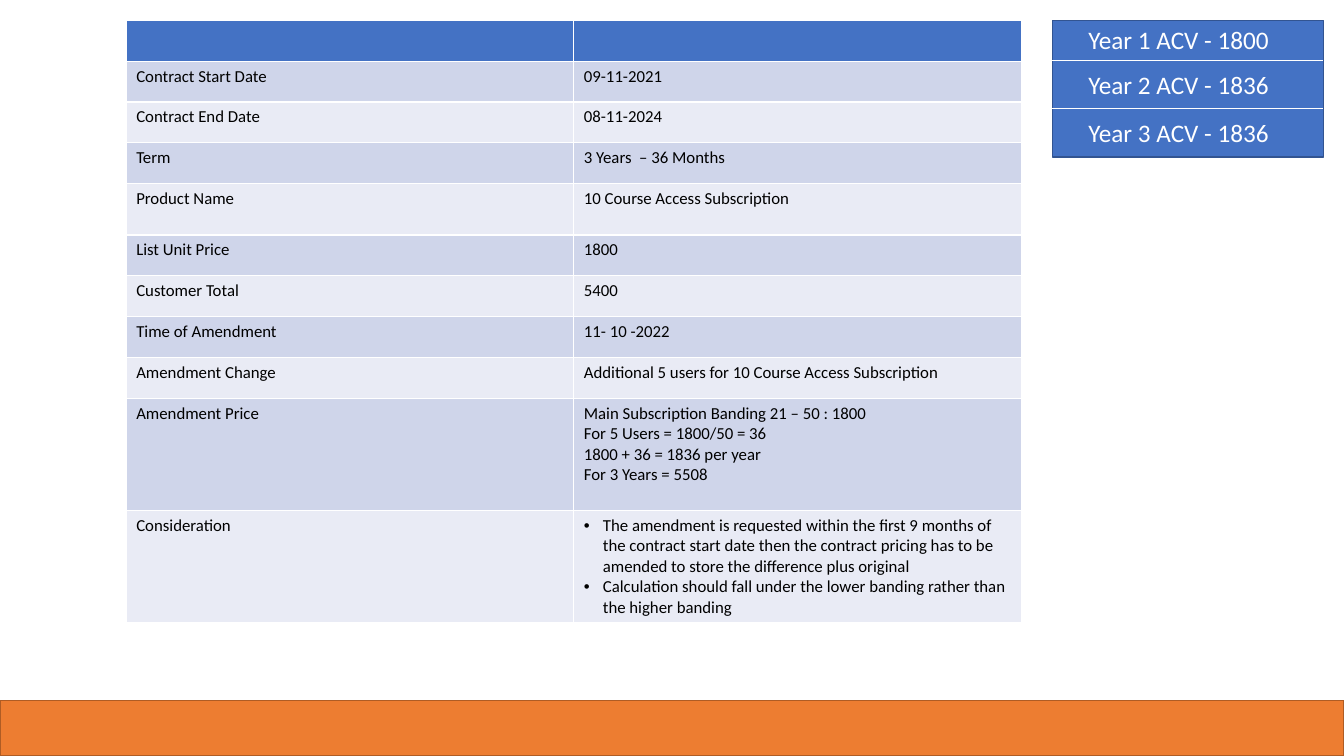
from lxml import etree
from pptx import Presentation
from pptx.dml.color import RGBColor
from pptx.enum.shapes import MSO_CONNECTOR, MSO_SHAPE
from pptx.enum.text import MSO_AUTO_SIZE
from pptx.oxml.ns import qn
from pptx.util import Cm, Pt

RECTANGLE = MSO_SHAPE.RECTANGLE
STRAIGHT = MSO_CONNECTOR.STRAIGHT
FIT_SHAPE = MSO_AUTO_SIZE.SHAPE_TO_FIT_TEXT

COLORS = {
    "blue": "4472C4", "blue_edge": "325491",
    "orange": "ED7D31", "orange_edge": "AF5C24",
    "odd_row": "CFD5EA", "even_row": "E9EBF5",
    "white": "FFFFFF", "black": "000000",
}
FORMATS = {
    "detail": {"name": "Calibri", "size": Pt(12)},
    "acv": {"name": "Calibri", "size": Pt(18)},
}


def color(key):
    return RGBColor.from_string(COLORS[key])


class SlideBuilder:
    def __init__(self, slide):
        self.slide = slide

    def fill_text(self, frame, lines, style, ink, bulleted=False):
        frame.word_wrap = True
        for index, line in enumerate(lines):
            paragraph = frame.paragraphs[0] if index == 0 else frame.add_paragraph()
            run = paragraph.add_run()
            run.text = line
            for attribute, value in FORMATS[style].items():
                setattr(run.font, attribute, value)
            run.font.color.rgb = color(ink)
            if bulleted:
                properties = paragraph._p.get_or_add_pPr()
                properties.set("marL", str(Cm(0.48)))
                properties.set("indent", str(Cm(-0.48)))
                etree.SubElement(properties, qn("a:buFont")).set("typeface", "Arial")
                etree.SubElement(properties, qn("a:buChar")).set("char", "•")

    def panel(self, left, top, width, height, fill, edge):
        panel = self.slide.shapes.add_shape(
            RECTANGLE, Cm(left), Cm(top), Cm(width), Cm(height))
        panel.shadow.inherit = False
        panel.fill.solid()
        panel.fill.fore_color.rgb = color(fill)
        panel.line.color.rgb = color(edge)
        panel.line.width = Pt(1)

    def divider(self, left, top, width):
        divider = self.slide.shapes.add_connector(
            STRAIGHT, Cm(left), Cm(top), Cm(left + width), Cm(top))
        divider.line.color.rgb = color("white")
        divider.line.width = Pt(0.5)
        etree.SubElement(divider._element.spPr, qn("a:effectLst"))

    def label(self, left, top, width, height, text):
        label = self.slide.shapes.add_textbox(
            Cm(left), Cm(top), Cm(width), Cm(height))
        self.fill_text(label.text_frame, [text], "acv", "white")
        label.text_frame.auto_size = FIT_SHAPE

    def table(self, left, top, column_width, row_height, rows, tall_rows):
        heights = [tall_rows.get(name, row_height) for name, _ in rows]
        table = self.slide.shapes.add_table(
            len(rows), 2, Cm(left), Cm(top),
            Cm(2 * column_width), Cm(sum(heights))).table
        for column in table.columns:
            column.width = Cm(column_width)
        for index, (name, details) in enumerate(rows):
            table.rows[index].height = Cm(heights[index])
            fill = "blue" if index == 0 else ("even_row", "odd_row")[index % 2]
            for position, lines in enumerate(([name], details)):
                cell = table.cell(index, position)
                cell.fill.solid()
                cell.fill.fore_color.rgb = color(fill)
                if index:
                    bulleted = position == 1 and name == "Consideration"
                    self.fill_text(cell.text_frame, lines, "detail", "black", bulleted)


CONTRACT = [
    ("", []),
    ("Contract Start Date", ["09-11-2021"]),
    ("Contract End Date", ["08-11-2024"]),
    ("Term", ["3 Years  – 36 Months"]),
    ("Product Name", ["10 Course Access Subscription"]),
    ("List Unit Price", ["1800"]),
    ("Customer Total", ["5400"]),
    ("Time of Amendment", ["11- 10 -2022"]),
    ("Amendment Change", ["Additional 5 users for 10 Course Access Subscription"]),
    ("Amendment Price", [
        "Main Subscription Banding 21 – 50 : 1800",
        "For 5 Users = 1800/50 = 36",
        "1800 + 36 = 1836 per year",
        "For 3 Years = 5508",
    ]),
    ("Consideration", [
        "The amendment is requested within the first 9 months of the contract "
        "start date then the contract pricing has to be amended to store the "
        "difference plus original",
        "Calculation should fall under the lower banding rather than the higher banding",
    ]),
]
TALL_ROWS = {"Product Name": 1.29, "Amendment Price": 2.82, "Consideration": 2.84}
YEARLY_VALUES = [(0.48, 1800), (1.63, 1836), (2.84, 1836)]
ACV_LEFT, ACV_WIDTH = 26.52, 6.83

presentation = Presentation()
presentation.slide_width = Cm(33.87)
presentation.slide_height = Cm(19.05)
builder = SlideBuilder(presentation.slides.add_slide(presentation.slide_layouts[6]))

builder.panel(0, 17.65, 33.87, 1.4, "orange", "orange_edge")
builder.table(3.18, 0.51, 11.28, 1.03, CONTRACT, TALL_ROWS)
builder.panel(ACV_LEFT, 0.51, ACV_WIDTH, 3.45, "blue", "blue_edge")
for divider_top in (1.52, 2.74):
    builder.divider(ACV_LEFT, divider_top, ACV_WIDTH)
for year, (label_top, value) in enumerate(YEARLY_VALUES, start=1):
    builder.label(27.18, label_top, 5.49, 1.02, f"Year {year} ACV - {value}")

presentation.save("out.pptx")
